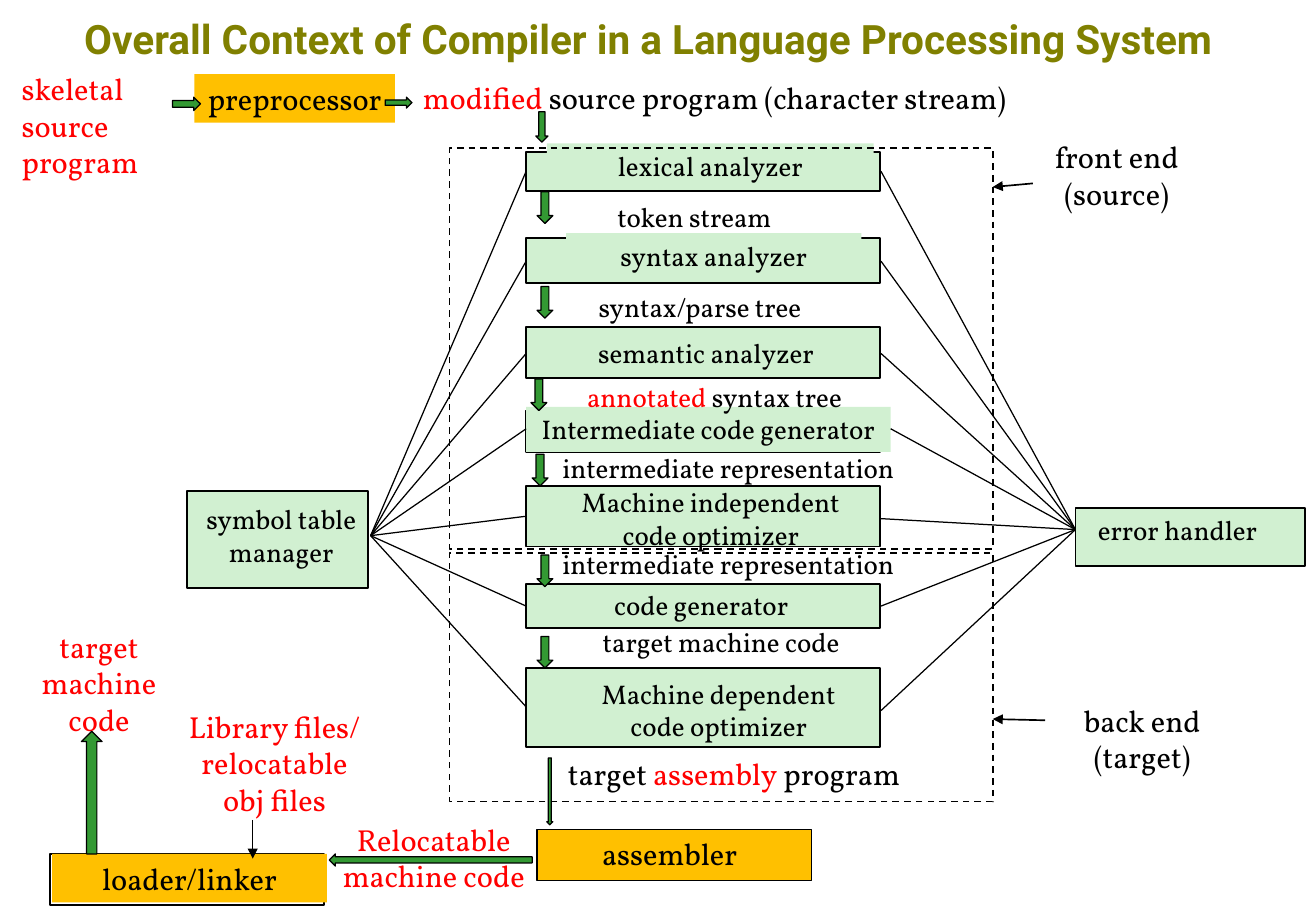
import lxml.etree
import pptx
import pptx.dml.color
import pptx.enum.dml
import pptx.enum.shapes
import pptx.enum.text
import pptx.oxml.ns
import pptx.util

Shapes = pptx.enum.shapes.MSO_SHAPE
Align = pptx.enum.text.PP_ALIGN
Anchor = pptx.enum.text.MSO_ANCHOR

BLACK, RED, OLIVE = "000000", "FF0000", "808000"
MINT, AMBER, GREEN = "D1F0D1", "FFC000", "339933"


def px(length):
    """Turn px, 100 to the inch, into EMU."""
    return pptx.util.Emu(length * 9144)


def rgb(value):
    return pptx.dml.color.RGBColor.from_string(value)


class Diagram:
    """Holds the style and the slide being drawn; boxes are (left, top, width, height)."""

    def __init__(self, slide, font="Vollkorn", title_font="Roboto"):
        self.slide = slide
        self.font = font
        self.title_font = title_font

    def format_run(self, run, size, color, font=None):
        run.font.name = font or self.font
        run.font.size = pptx.util.Pt(size)
        run.font.color.rgb = rgb(color)

    def title(self, box, text):
        title = self.slide.shapes.title
        title.left, title.top, title.width, title.height = map(px, box)
        title.text_frame.text = text
        title.text_frame.vertical_anchor = Anchor.MIDDLE
        paragraph = title.text_frame.paragraphs[0]
        paragraph.alignment = Align.CENTER
        self.format_run(paragraph.runs[0], 24, OLIVE, self.title_font)
        paragraph.runs[0].font.bold = True

    def shape(self, box, fill=None, line=None, kind=Shapes.RECTANGLE, width=1, dashed=False):
        shape = self.slide.shapes.add_shape(kind, *map(px, box))
        shape.shadow.inherit = False
        if fill:
            shape.fill.solid()
            shape.fill.fore_color.rgb = rgb(fill)
        else:
            shape.fill.background()
        if line:
            shape.line.color.rgb = rgb(line)
            shape.line.width = pptx.util.Pt(width)
        else:
            shape.line.fill.background()
        if dashed:
            shape.line.dash_style = pptx.enum.dml.MSO_LINE.DASH
        return shape

    def label(self, box, text, size=18, color=BLACK, fill=None, highlight=None,
              wrap=True, align=Align.CENTER):
        """Add text, on a filled box if asked, with one phrase highlighted in red."""
        if fill:
            shape = self.shape(box, fill)
        else:
            shape = self.slide.shapes.add_textbox(*map(px, box))
        frame = shape.text_frame
        frame.word_wrap = wrap
        frame.auto_size = pptx.enum.text.MSO_AUTO_SIZE.SHAPE_TO_FIT_TEXT
        frame.vertical_anchor = Anchor.TOP
        if highlight:
            for piece in filter(None, text.partition(highlight)):
                run = frame.paragraphs[0].add_run()
                run.text = piece
                self.format_run(run, size, RED if piece == highlight else color)
        else:
            frame.text = text
            for paragraph in frame.paragraphs:
                self.format_run(paragraph.runs[0], size, color)
        for paragraph in frame.paragraphs:
            paragraph.alignment = align

    def block_arrow(self, kind, box):
        self.shape(box, GREEN, BLACK, kind, 0.75)

    def line(self, start, end, width=0.75, arrow=False):
        connector = self.slide.shapes.add_connector(
            pptx.enum.shapes.MSO_CONNECTOR.STRAIGHT, *map(px, start + end))
        connector.line.color.rgb = rgb(BLACK)
        connector.line.width = pptx.util.Pt(width)
        qn = pptx.oxml.ns.qn
        if arrow:
            outline = connector.line._get_or_add_ln()
            lxml.etree.SubElement(outline, qn("a:tailEnd"), type="triangle")
        lxml.etree.SubElement(connector._element.spPr, qn("a:effectLst"))


STAGE_LEFT, STAGE_WIDTH = 433, 291
# stage top, stage height, label box, label, label fill
STAGES = [
    (125, 32, (450, 118, 269, 37), "lexical analyzer", MINT),
    (196, 37, (466, 192, 243, 37), "syntax analyzer", MINT),
    (269, 42, (454, 272, 254, 37), "semantic analyzer", None),
    (338, 34, (433, 335, 300, 37), "Intermediate code generator", MINT),
    (400, 50, (445, 395, 280, 64), "Machine independent\ncode optimizer", None),
    (481, 36, (464, 480, 226, 37), "code generator", None),
    (550, 65, (458, 553, 267, 64), "Machine dependent\ncode optimizer", None),
]
# box, what passes to the next stage, highlighted phrase
STAGE_OUTPUTS = [
    ((473, 160, 197, 37), "token stream", None),
    ((455, 234, 242, 37), "syntax/parse tree", None),
    ((455, 308, 266, 37), "annotated syntax tree", "annotated "),
    ((451, 510, 285, 37), "target machine code", None),
]
REPRESENTATION_TOPS = (367, 446)
FLOW_ARROWS = [(442, 158), (442, 236), (437, 312), (438, 374), (442, 457), (442, 524)]
SYMBOL_TABLE_PORT, ERROR_HANDLER_PORT = (305, 441), (885, 436)
SYMBOL_LINK_ENDS = [(433, y) for y in (141, 215, 291, 353, 425, 499, 582)]
ERROR_LINK_ENDS = [(725, 141), (725, 215), (725, 291), (733, 353),
                   (725, 427), (725, 499), (725, 585)]


def draw_compiler(diagram):
    for top, height, label_box, text, label_fill in STAGES:
        diagram.shape((STAGE_LEFT, top, STAGE_WIDTH, height), MINT, BLACK)
        diagram.label(label_box, text, 16, fill=label_fill)
    for top, height in ((122, 330), (455, 205)):
        diagram.shape((370, top, 447, height), line=BLACK, dashed=True)
    diagram.label((848, 109, 142, 81), "front end\n(source)")
    diagram.label((871, 573, 138, 81), "back end\n(target)", wrap=False)
    diagram.line((850, 151), (817, 154), 1, arrow=True)
    diagram.line((860, 593), (817, 592), 1, arrow=True)
    for box, text, highlight in STAGE_OUTPUTS:
        diagram.label(box, text, 16, highlight=highlight)
    for top in REPRESENTATION_TOPS:
        diagram.label((453, top, 297, 37), "intermediate representation", 16,
                      wrap=False, align=Align.LEFT)
    for left, top in FLOW_ARROWS:
        diagram.block_arrow(Shapes.DOWN_ARROW, (left, top, 13, 26))


def draw_helpers(diagram):
    diagram.shape((154, 404, 149, 80), MINT, BLACK)
    diagram.label((158, 409, 147, 64), "symbol table\nmanager", 16, wrap=False)
    diagram.shape((885, 418, 189, 48), MINT, BLACK)
    diagram.label((885, 418, 168, 37), "error handler", 16)
    for end in SYMBOL_LINK_ENDS:
        diagram.line(SYMBOL_TABLE_PORT, end)
    for end in ERROR_LINK_ENDS:
        diagram.line(end, ERROR_HANDLER_PORT)


def draw_input(diagram):
    diagram.label((8, 53, 127, 101), "skeletal\nsource\nprogram", color=RED, align=Align.LEFT)
    diagram.label((160, 61, 165, 40), "preprocessor", fill=AMBER, wrap=False)
    diagram.label((325, 60, 526, 40), "modified source program (character stream)",
                  highlight="modified ")
    diagram.block_arrow(Shapes.RIGHT_ARROW, (142, 80, 23, 11))
    diagram.block_arrow(Shapes.RIGHT_ARROW, (317, 80, 22, 9))
    diagram.block_arrow(Shapes.DOWN_ARROW, (441, 92, 10, 25))


def draw_output(diagram):
    diagram.label((454, 617, 300, 40), "target assembly program", highlight="assembly", wrap=False)
    diagram.shape((442, 683, 226, 42), AMBER, BLACK)
    diagram.label((485, 683, 132, 40), "assembler", wrap=False)
    diagram.shape((41, 703, 226, 42), line=BLACK)
    diagram.label((43, 703, 226, 40), "loader/linker", fill=AMBER)
    diagram.label((10, 512, 143, 101), "target machine code", color=RED)
    diagram.label((267, 671, 180, 71), "Relocatable\nmachine code", color=RED, wrap=False)
    diagram.label((141, 578, 170, 101), "Library files/\nrelocatable\nobj files", color=RED)
    diagram.line((208, 675), (208, 707), arrow=True)
    diagram.block_arrow(Shapes.DOWN_ARROW, (450, 624, 5, 55))
    diagram.block_arrow(Shapes.UP_ARROW, (67, 602, 17, 101))
    diagram.block_arrow(Shapes.LEFT_ARROW, (271, 703, 167, 10))


def main():
    presentation = pptx.Presentation()
    presentation.slide_width, presentation.slide_height = px(1083), px(750)
    diagram = Diagram(presentation.slides.add_slide(presentation.slide_layouts[5]))
    diagram.title((0, -2, 1067, 67), "Overall Context of Compiler in a Language Processing System")
    draw_compiler(diagram)
    draw_helpers(diagram)
    draw_input(diagram)
    draw_output(diagram)
    presentation.save("out.pptx")


if __name__ == "__main__":
    main()
